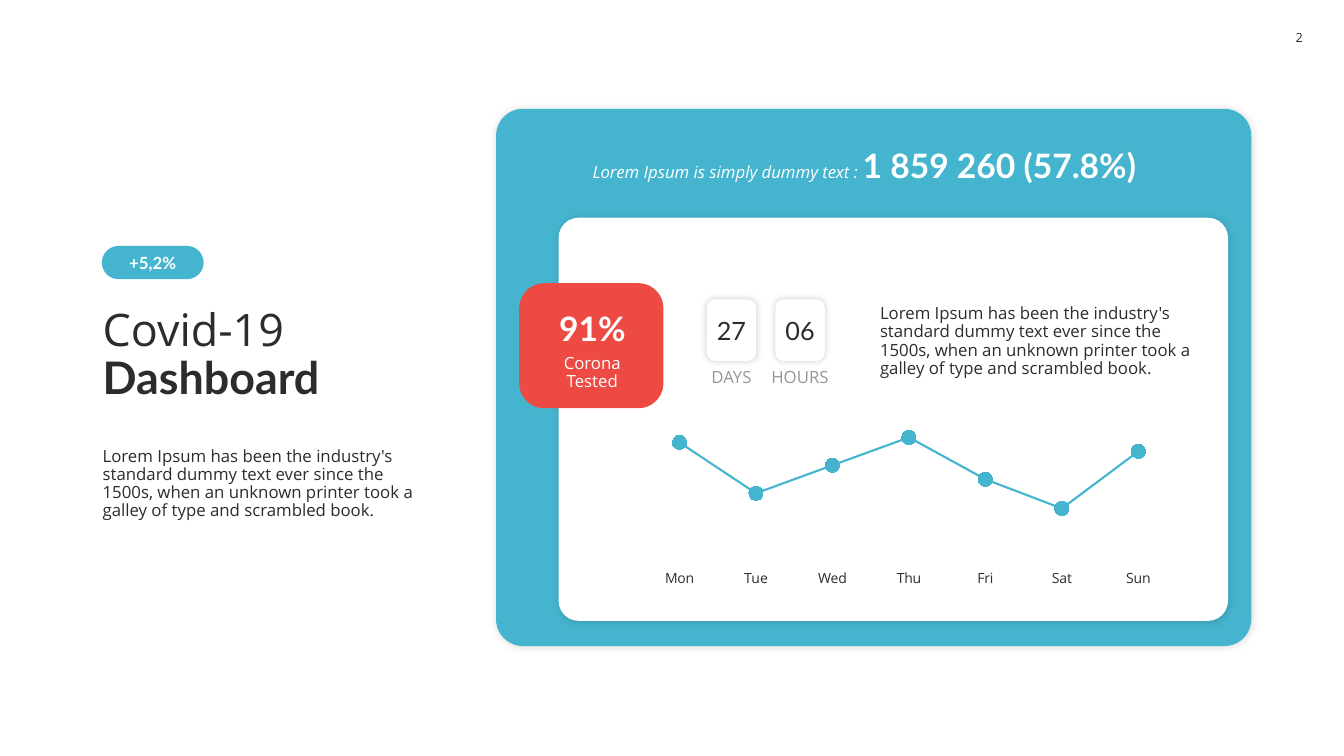
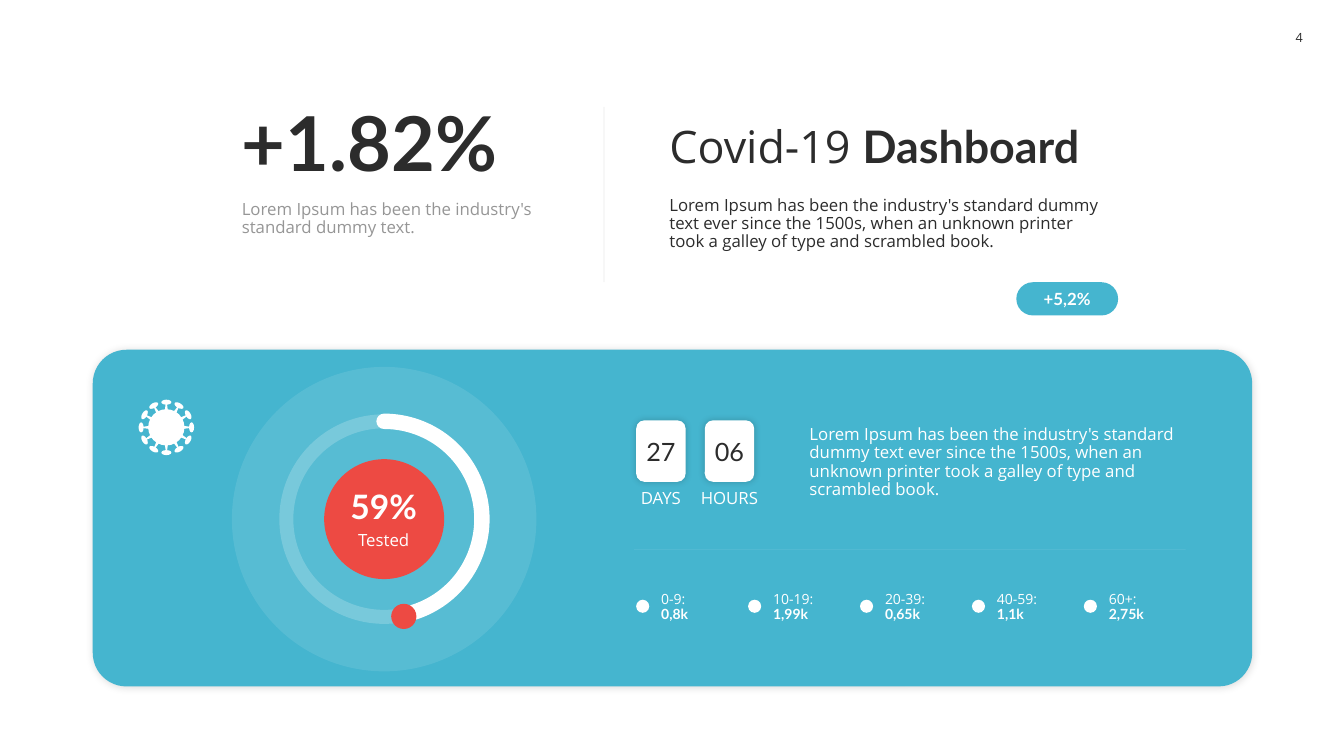
"""Build two dashboard slides with a shared visual style."""
from math import cos, radians, sin

from lxml.etree import SubElement
from pptx import Presentation
from pptx.chart.data import CategoryChartData
from pptx.dml.color import RGBColor
from pptx.enum.chart import XL_CHART_TYPE, XL_MARKER_STYLE, XL_TICK_MARK
from pptx.enum.shapes import MSO_CONNECTOR, MSO_SHAPE
from pptx.enum.text import MSO_ANCHOR, MSO_AUTO_SIZE, PP_ALIGN
from pptx.oxml.ns import qn
from pptx.util import Inches, Pt

COLORS = {"teal": "45B5CF", "red": "ED4A43", "white": "FFFFFF",
          "ink": "2C2C2C", "gray": "969696", "black": "000000"}
BODY_FONT, BOLD_FONT = "Open Sans", "Lato"
LOREM = ("Lorem Ipsum has been the industry's standard dummy text ever since the 1500s, "
         "when an unknown printer took a galley of type and scrambled book.")
PANEL_SHADOW = (15, 6, 1)
CARD_SHADOW = (20, 5, 0)


def rgb(name):
    """Return the named colour."""
    return RGBColor.from_string(COLORS[name])


def body(text, color="ink", size=12, italic=False):
    """Describe a run in the body font."""
    return text, BODY_FONT, size, color, False, italic


def strong(text, color="ink", size=12, bold=True):
    """Describe a run in the bold font."""
    return text, BOLD_FONT, size, color, bold, False


class Deck:
    """Hold the style and the current slide."""

    def __init__(self):
        """Start a wide presentation."""
        self.presentation = Presentation()
        self.presentation.slide_width = Inches(13.33)
        self.presentation.slide_height = Inches(7.5)
        self.slide = None

    def new_slide(self, number):
        """Add a blank slide with its page number."""
        self.slide = self.presentation.slides.add_slide(self.presentation.slide_layouts[6])
        badge = self.shape("ROUNDED_RECTANGLE", 12.69, 0.18, 0.39, 0.39)
        self.fill_text(badge, [[body(number, size=9)]], PP_ALIGN.CENTER, MSO_ANCHOR.MIDDLE, 0)

    def fade(self, properties, percent):
        """Set the opacity of the first colour under the given element."""
        color = next(properties.iter(qn("a:srgbClr")))
        SubElement(color, qn("a:alpha")).set("val", str(percent * 1000))

    def shape(self, kind, left, top, width, height, fill="white", corner=None,
              shadow=None, opacity=None, parent=None):
        """Add a preset shape without an outline."""
        owner = parent or self.slide
        shape = owner.shapes.add_shape(getattr(MSO_SHAPE, kind), Inches(left), Inches(top),
                                       Inches(width), Inches(height))
        shape.shadow.inherit = False
        shape.line.fill.background()
        if fill:
            shape.fill.solid()
            shape.fill.fore_color.rgb = rgb(fill)
        else:
            shape.fill.background()
        if corner is not None:
            shape.adjustments[0] = corner
        if opacity:
            self.fade(shape._element.spPr, opacity)
        if shadow:
            alpha, blur, distance = shadow
            effects = shape._element.spPr.find(qn("a:effectLst"))
            outer = SubElement(effects, qn("a:outerShdw"), blurRad=str(Pt(blur)),
                               dist=str(Pt(distance)), dir="2700000", algn="ctr",
                               rotWithShape="0")
            SubElement(outer, qn("a:srgbClr"), val=COLORS["black"])
            self.fade(outer, alpha)
        return shape

    def outline(self, shape, width, opacity=None, round_cap=False):
        """Give a shape a white outline."""
        shape.line.color.rgb = rgb("white")
        shape.line.width = Pt(width)
        line = shape._element.spPr.find(qn("a:ln"))
        if opacity:
            self.fade(line, opacity)
        if round_cap:
            line.set("cap", "rnd")

    def fill_text(self, shape, paragraphs, align=PP_ALIGN.LEFT, anchor=MSO_ANCHOR.TOP,
                  side=0.1, spacing=None):
        """Fill a shape with paragraphs of runs."""
        frame = shape.text_frame
        frame.word_wrap = True
        frame.vertical_anchor = anchor
        frame.margin_left = frame.margin_right = Inches(side)
        for index, runs in enumerate(paragraphs):
            paragraph = frame.add_paragraph() if index else frame.paragraphs[0]
            paragraph.alignment = align
            if spacing:
                paragraph.line_spacing = spacing
            for text, font, size, color, bold, italic in runs:
                run = paragraph.add_run()
                run.text = text
                run.font.name = font
                run.font.size = Pt(size)
                run.font.bold = bold
                run.font.italic = italic
                run.font.color.rgb = rgb(color)

    def text(self, left, top, width, height, paragraphs, align=PP_ALIGN.LEFT,
             anchor=MSO_ANCHOR.TOP, side=0.1, spacing=0.9):
        """Add a text box that grows with its text."""
        box = self.slide.shapes.add_textbox(Inches(left), Inches(top),
                                            Inches(width), Inches(height))
        self.fill_text(box, paragraphs, align, anchor, side, spacing)
        box.text_frame.auto_size = MSO_AUTO_SIZE.SHAPE_TO_FIT_TEXT

    def title(self, left, top, width, height):
        """Add the two-weight title."""
        self.text(left, top, width, height,
                  [[body("Covid-19 ", size=32), strong("Dashboard", size=32)]],
                  anchor=MSO_ANCHOR.BOTTOM)

    def panel(self, left, top, width, height, corner, fill="teal"):
        """Add a large rounded panel."""
        self.shape("ROUNDED_RECTANGLE", left, top, width, height, fill, corner, PANEL_SHADOW)

    def pill(self, left, top):
        """Add the growth pill."""
        pill = self.shape("ROUNDED_RECTANGLE", left, top, 1.01, 0.33, "teal", 0.5)
        self.fill_text(pill, [[strong("+5,2%", "white")]],
                       PP_ALIGN.CENTER, MSO_ANCHOR.MIDDLE, 0)

    def score(self, left, top, width, value, caption, caption_top):
        """Add a large share with its caption below."""
        self.text(left, top, width, 0.5, [[strong(value, "white", 24)]],
                  PP_ALIGN.CENTER, MSO_ANCHOR.BOTTOM, spacing=1)
        self.text(left, caption_top, width, 0.3, [[body(caption, "white")]], PP_ALIGN.CENTER)

    def countdown(self, left, top, label_color):
        """Add the day and hour cards."""
        card_width, label_width = 0.49, 0.67
        for index, (value, unit) in enumerate([("27", "DAYS"), ("06", "HOURS")]):
            card_left = left + 0.68 * index
            card = self.shape("ROUNDED_RECTANGLE", card_left, top, card_width, 0.61,
                              shadow=CARD_SHADOW)
            self.fill_text(card, [[strong(value, size=18, bold=False)]],
                           PP_ALIGN.CENTER, MSO_ANCHOR.MIDDLE, 0)
            self.text(card_left - (label_width - card_width) / 2, top + 0.64, label_width, 0.3,
                      [[body(unit, label_color)]], PP_ALIGN.CENTER, side=0.04)

    def divider(self, start, end, color):
        """Add a faint straight line."""
        line = self.slide.shapes.add_connector(
            MSO_CONNECTOR.STRAIGHT, *map(Inches, start), *map(Inches, end))
        line.line.color.rgb = rgb(color)
        line.line.width = Pt(0.5)
        self.fade(line._element.spPr, 10)
        SubElement(line._element.spPr, qn("a:effectLst"))

    def week_chart(self, left, top, width, height, days, values):
        """Add the line chart of the week."""
        data = CategoryChartData()
        data.categories = days
        data.add_series("Series 1", values)
        chart = self.slide.shapes.add_chart(
            XL_CHART_TYPE.LINE_MARKERS_STACKED, Inches(left), Inches(top),
            Inches(width), Inches(height), data).chart
        chart.has_legend = chart.has_title = False
        chart.font.name = BODY_FONT
        chart.font.size = Pt(12)
        chart.font.color.rgb = rgb("ink")
        chart.plots[0].vary_by_categories = False
        chart.value_axis.visible = False
        chart.value_axis.has_major_gridlines = False
        chart.value_axis.minimum_scale = 0
        chart.value_axis.maximum_scale = 110
        chart.category_axis.major_tick_mark = XL_TICK_MARK.NONE
        chart.category_axis.tick_labels.font.size = Pt(10)
        chart.category_axis.format.line.fill.background()
        series = chart.plots[0].series[0]
        series.smooth = False
        series.format.line.color.rgb = rgb("teal")
        series.format.line.width = Pt(1.5)
        series.marker.style = XL_MARKER_STYLE.CIRCLE
        series.marker.size = 10
        series.marker.format.fill.solid()
        series.marker.format.fill.fore_color.rgb = rgb("teal")
        series.marker.format.line.fill.background()

    def virus(self, center_x, center_y):
        """Add the virus icon with twelve spikes."""
        icon = self.slide.shapes.add_group_shape()
        self.shape("OVAL", center_x - 0.18, center_y - 0.18, 0.36, 0.36, parent=icon)
        spike_parts = [("OVAL", 0.25, 0.1, 0.05, None), ("TRAPEZOID", 0.2, 0.03, 0.06, 0.27)]
        for angle in range(0, 360, 30):
            for kind, radius, width, height, taper in spike_parts:
                part = self.shape(kind, center_x + radius * sin(radians(angle)) - width / 2,
                                  center_y - radius * cos(radians(angle)) - height / 2,
                                  width, height, corner=taper, parent=icon)
                part.rotation = angle

    def gauge(self, center_x, center_y):
        """Add the ring gauge with its halo, core and end dot."""
        def disc(diameter, kind="OVAL", **style):
            """Add a shape centred on the gauge."""
            return self.shape(kind, center_x - diameter / 2, center_y - diameter / 2,
                              diameter, diameter, **style)

        disc(3.02, opacity=10)
        disc(1.19, fill="red")
        self.outline(disc(1.94, fill=None), 10, opacity=20)
        progress = disc(1.94, "ARC", fill=None)
        progress.adjustments[0] = 162
        progress.adjustments[1] = 44.96
        self.outline(progress, 11, round_cap=True)
        self.shape("OVAL", 3.88, 5.99, 0.25, 0.25, "red")
        self.score(3.21, 4.77, 1.19, "59%", "Tested", 5.23)

    def age_groups(self, left, top, step, groups):
        """Add the row of age groups with dots."""
        for index, (ages, count) in enumerate(groups):
            dot_left = left + step * index
            self.shape("OVAL", dot_left, top + 0.14, 0.13, 0.13)
            self.text(dot_left + 0.15, top, 0.8, 0.44,
                      [[body(ages, "white", 10)], [strong(count, "white", 10)]],
                      anchor=MSO_ANCHOR.MIDDLE)


def week_slide(deck):
    """Build the slide with the weekly chart."""
    deck.new_slide("2")
    deck.panel(4.92, 1.08, 7.49, 5.33, 0.05)
    deck.title(0.92, 2.88, 3.36, 1.18)
    deck.text(0.92, 4.39, 3.36, 0.91, [[body(LOREM)]])
    deck.pill(1.01, 2.44)
    deck.panel(5.54, 2.16, 6.64, 4, 0.05, "white")
    deck.text(5.78, 1.39, 6, 0.5,
              [[body("Lorem Ipsum is simply dummy text : ", "white", italic=True),
                strong("1 859 260 (57.8%)", "white", 24)]], spacing=1)
    deck.shape("ROUNDED_RECTANGLE", 5.15, 2.81, 1.43, 1.24, "red", 0.2)
    deck.score(5.26, 3, 1.23, "91%", "Corona Tested", 3.47)
    deck.countdown(7.01, 2.97, "gray")
    deck.text(8.63, 2.98, 3.36, 0.91, [[body(LOREM)]])
    deck.week_chart(6.25, 4.18, 5.53, 1.68,
                    ["Mon", "Tue", "Wed", "Thu", "Fri", "Sat", "Sun"],
                    [96, 56, 78, 100, 67, 44, 89])


def gauge_slide(deck):
    """Build the slide with the ring gauge."""
    deck.new_slide("4")
    deck.text(2.3, 0.89, 3.36, 1.01, [[strong("+1.82%", size=54)]],
              anchor=MSO_ANCHOR.BOTTOM, spacing=1)
    deck.text(2.3, 1.94, 3.36, 0.5,
              [[body("Lorem Ipsum has been the industry's standard dummy text.", "gray")]])
    deck.title(6.54, 1.13, 4.55, 0.64)
    deck.text(6.54, 1.9, 4.55, 0.71, [[body(LOREM)]])
    deck.pill(10.08, 2.8)
    deck.panel(0.92, 3.47, 11.5, 3.34, 0.1)
    deck.gauge(3.81, 5.15)
    deck.virus(1.65, 4.24)
    deck.countdown(6.31, 4.17, "white")
    deck.text(7.93, 4.18, 3.82, 0.91, [[body(LOREM, "white")]])
    deck.divider((6.29, 5.45), (11.76, 5.45), "white")
    deck.age_groups(6.31, 5.81, 1.11, [("0-9:", "0,8k"), ("10-19:", "1,99k"),
                                       ("20-39:", "0,65k"), ("40-59:", "1,1k"),
                                       ("60+:", "2,75k")])
    deck.divider((5.99, 1.06), (5.99, 2.8), "ink")


def main():
    """Build and save the presentation."""
    deck = Deck()
    week_slide(deck)
    gauge_slide(deck)
    deck.presentation.save("out.pptx")


if __name__ == "__main__":
    main()
